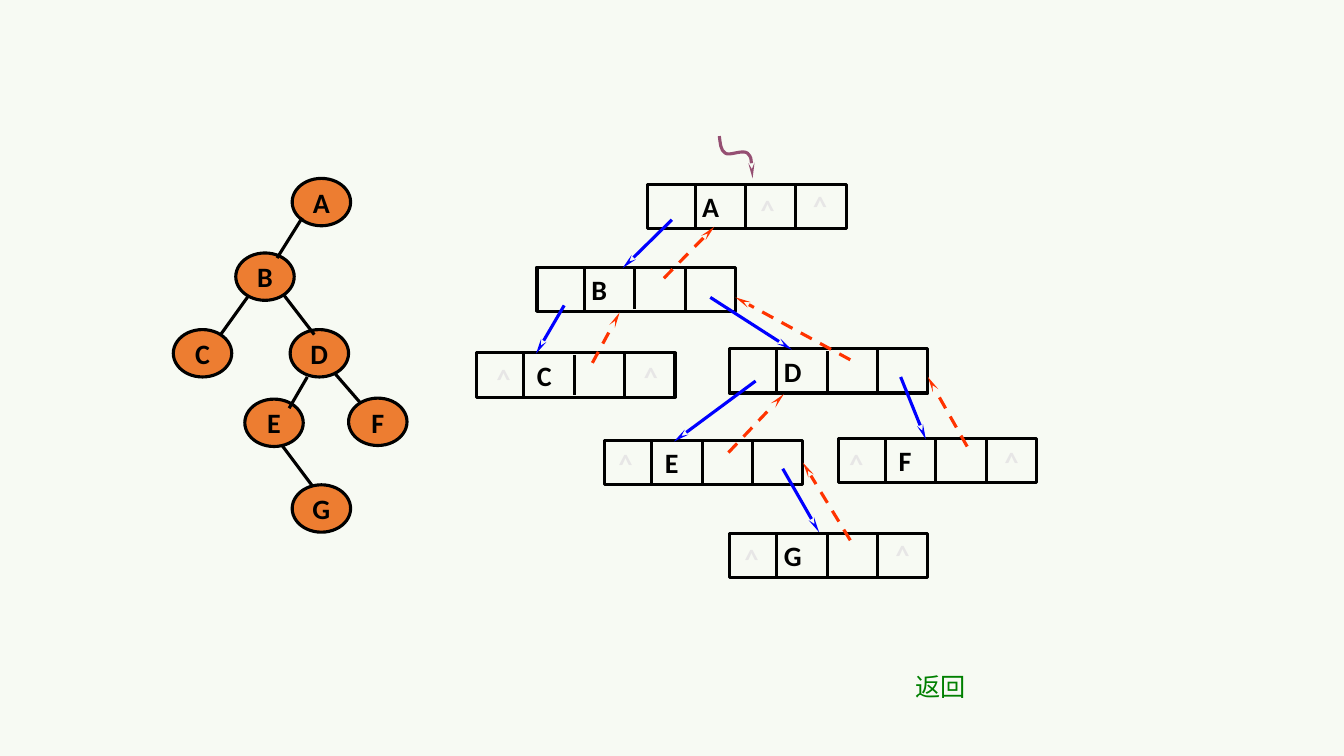
"""Build a slide showing a binary tree beside its linked storage with parent pointers."""
from lxml import etree
from pptx import Presentation
from pptx.dml.color import RGBColor
from pptx.enum.dml import MSO_LINE
from pptx.enum.shapes import MSO_CONNECTOR, MSO_SHAPE
from pptx.enum.text import MSO_ANCHOR, PP_ALIGN
from pptx.oxml.ns import qn
from pptx.util import Inches, Pt

STRAIGHT = MSO_CONNECTOR.STRAIGHT
RECTANGLE, OVAL = MSO_SHAPE.RECTANGLE, MSO_SHAPE.OVAL
DASH = MSO_LINE.DASH
MIDDLE = MSO_ANCHOR.MIDDLE
LEFT, CENTER = PP_ALIGN.LEFT, PP_ALIGN.CENTER
RIGHT_SIDE = 3
COLORS = {
    "background": "F7FAF3",
    "ink": "000000",
    "node": "ED7D31",
    "child": "0000FF",
    "parent": "FF3300",
    "null": "E7E6E6",
    "root": "954F72",
    "back": "008000",
}
LINE_WIDTH = Pt(2.25)
ARROWHEAD = {"type": "stealth", "w": "sm", "len": "lg"}
RECORD_WIDTH, RECORD_HEIGHT = 1.97, 0.44
FIRST_DIVIDER, FIELD_WIDTH = 0.47, 0.5
NODE_WIDTH, NODE_HEIGHT = 0.58, 0.47

prs = Presentation()
prs.slide_width, prs.slide_height = Inches(13.34), Inches(7.5)
slide = prs.slides.add_slide(prs.slide_layouts[6])
slide.background.fill.solid()
slide.background.fill.fore_color.rgb = RGBColor.from_string(COLORS["background"])
shapes = slide.shapes


def write(shape, text, color, align=CENTER, size=20, font="Calibri", bold=True):
    frame = shape.text_frame
    frame.vertical_anchor = MIDDLE
    paragraph = frame.paragraphs[0]
    paragraph.alignment = align
    run = paragraph.add_run()
    run.text = text
    run.font.name, run.font.size, run.font.bold = font, Pt(size), bold
    run.font.color.rgb = RGBColor.from_string(COLORS[color])


def draw_line(start, end, color="ink", arrow=False):
    line = shapes.add_connector(STRAIGHT, *map(Inches, start + end))
    line.line.width = LINE_WIDTH
    line.line.color.rgb = RGBColor.from_string(COLORS[color])
    properties = line._element.spPr
    if arrow:
        etree.SubElement(properties.find(qn("a:ln")), qn("a:tailEnd"), ARROWHEAD)
    etree.SubElement(properties, qn("a:effectLst"))
    return line


record_places = {
    "A": (6.43, 1.83, 0.54), "B": (5.33, 2.65, 0.54), "C": (4.73, 3.5, 0.6),
    "D": (7.24, 3.46, 0.54), "E": (6, 4.37, 0.6), "F": (8.32, 4.35, 0.6),
    "G": (7.24, 5.29, 0.54),
}
records = {}
for letter, (x, y, indent) in record_places.items():
    record = shapes.add_shape(RECTANGLE, Inches(x), Inches(y), Inches(RECORD_WIDTH), Inches(RECORD_HEIGHT))
    record.shadow.inherit = False
    record.fill.background()
    record.line.width = LINE_WIDTH
    record.line.color.rgb = RGBColor.from_string(COLORS["ink"])
    record.text_frame.margin_left = Inches(indent)
    write(record, letter, "ink", LEFT)
    records[letter] = record
    for field, gap in enumerate((0, 0.02, 0)):
        divider_x = x + FIRST_DIVIDER + field * FIELD_WIDTH
        draw_line((divider_x, y + gap), (divider_x, y + RECORD_HEIGHT - gap))

child_pointers = [
    ((6.67, 2.18), (6.18, 2.66)), ((5.6, 3.03), (5.32, 3.51)),
    ((7.5, 3.78), (6.69, 4.38)), ((7.05, 2.95), (7.86, 3.47)),
    ((8.94, 3.74), (9.19, 4.36)), ((7.77, 4.65), (8.13, 5.28)),
]
for start, end in child_pointers:
    draw_line(start, end, "child", arrow=True)

parent_pointers = {
    "B": ((6.59, 2.76), (7.09, 2.25)), "C": ((5.88, 3.6), (6.15, 3.1)),
    "D": ((8.44, 3.57), (7.3, 2.95)), "E": ((7.23, 4.49), (7.78, 3.91)),
    "G": ((8.44, 5.36), (7.98, 4.61)), "F": ((9.6, 4.43), (9.21, 3.74)),
}
for child, (start, end) in parent_pointers.items():
    pointer = draw_line(start, end, "parent", arrow=True)
    pointer.line.dash_style = DASH
    if child == "G":
        pointer.end_connect(records["E"], RIGHT_SIDE)

null_places = [
    (7.45, 1.86), (7.97, 1.82), (4.83, 3.53), (6.29, 3.51), (6.04, 4.38),
    (8.33, 4.38), (9.87, 4.36), (7.29, 5.32), (8.79, 5.28),
]
for x, y in null_places:
    null_mark = shapes.add_textbox(Inches(x), Inches(y), Inches(0.34), Inches(0.44))
    null_mark.text_frame.word_wrap = False
    write(null_mark, "^", "null")

node_places = {
    "A": (2.9, 1.77), "B": (2.34, 2.51), "C": (1.72, 3.27), "D": (2.88, 3.27),
    "E": (2.43, 3.96), "F": (3.46, 3.95), "G": (2.9, 4.81),
}
for letter, (x, y) in node_places.items():
    node = shapes.add_shape(OVAL, Inches(x), Inches(y), Inches(NODE_WIDTH), Inches(NODE_HEIGHT))
    node.shadow.inherit = False
    node.fill.solid()
    node.fill.fore_color.rgb = RGBColor.from_string(COLORS["node"])
    node.line.width = LINE_WIDTH
    node.line.color.rgb = RGBColor.from_string(COLORS["ink"])
    node.text_frame.word_wrap = False
    write(node, letter, "ink")

tree_edges = [
    ((3, 2.16), (2.75, 2.56)), ((2.47, 2.93), (2.19, 3.32)),
    ((2.82, 2.93), (3.12, 3.32)), ((3.05, 3.74), (2.87, 4.05)),
    ((3.32, 3.7), (3.58, 4)), ((2.8, 4.42), (3.1, 4.82)),
]
for start, end in tree_edges:
    draw_line(start, end)

curve_points = [
    (7.15, 1.42), (7.15, 1.49), (7.2, 1.52), (7.24, 1.55), (7.37, 1.48),
    (7.42, 1.52), (7.46, 1.56), (7.47, 1.67), (7.47, 1.77),
]
builder = shapes.build_freeform(Inches(7.14), Inches(1.35))
builder.add_line_segments([(Inches(x), Inches(y)) for x, y in curve_points], close=False)
root_pointer = builder.convert_to_shape()
root_pointer.shadow.inherit = False
root_pointer.fill.background()
root_pointer.line.width = LINE_WIDTH
root_pointer.line.color.rgb = RGBColor.from_string(COLORS["root"])
root_properties = root_pointer._element.spPr
etree.SubElement(root_properties.find(qn("a:ln")), qn("a:tailEnd"), ARROWHEAD)
outline = root_properties.find(".//" + qn("a:path"))
segments = outline.findall(qn("a:lnTo"))
for first in range(0, len(segments), 3):
    curve = etree.SubElement(outline, qn("a:cubicBezTo"))
    for segment in segments[first:first + 3]:
        curve.append(segment[0])
        outline.remove(segment)

back = shapes.add_textbox(Inches(8.92), Inches(6.61), Inches(0.83), Inches(0.4))
back.text_frame.word_wrap = True
write(back, "返回", "back", size=18, font="Cabin", bold=False)

prs.save("out.pptx")
